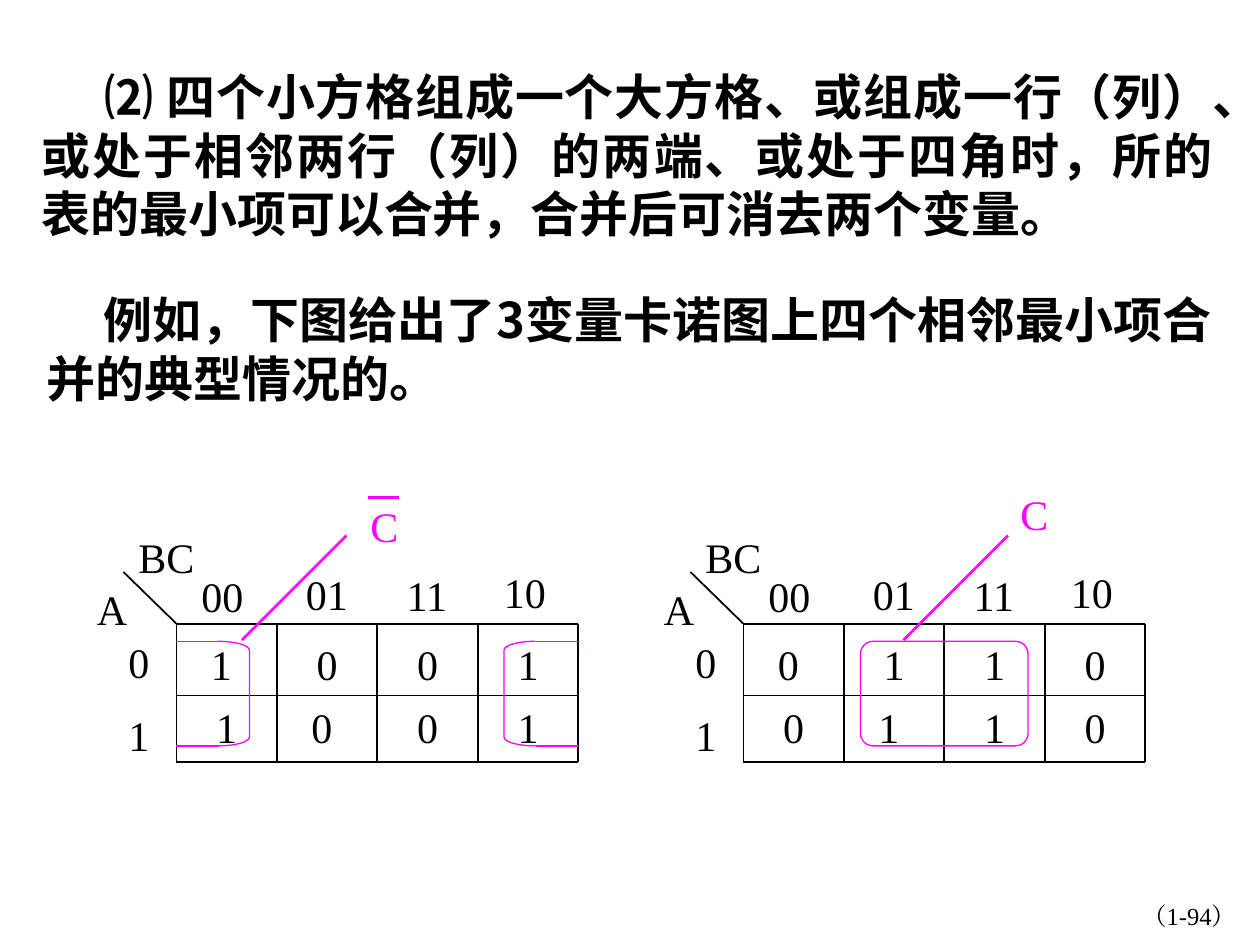
"""Build a slide on merging four adjacent minterms in three-variable Karnaugh maps."""
from pptx import Presentation
from pptx.dml.color import RGBColor
from pptx.enum.shapes import MSO_CONNECTOR, MSO_SHAPE
from pptx.enum.text import MSO_ANCHOR, MSO_AUTO_SIZE, PP_ALIGN
from pptx.oxml.ns import qn
from pptx.util import Inches, Pt

LEFT, CENTER, RIGHT, JUSTIFY = PP_ALIGN.LEFT, PP_ALIGN.CENTER, PP_ALIGN.RIGHT, PP_ALIGN.JUSTIFY
STRAIGHT = MSO_CONNECTOR.STRAIGHT
ROUNDED = MSO_SHAPE.ROUNDED_RECTANGLE
LEFT_BRACKET, RIGHT_BRACKET = MSO_SHAPE.LEFT_BRACKET, MSO_SHAPE.RIGHT_BRACKET
BLACK, MAGENTA = "000000", "FF00FF"
SERIF, SANS = "Times New Roman", "Noto Sans CJK SC"

BODY = [
    ("⑵ 四个小方格组成一个大方格、或组成一行（列）、或处于相邻两行（列）的两端、或处于四角时，"
     "所的表的最小项可以合并，合并后可消去两个变量。", (0.23, 0.48, 9.5, 1.5), 0.5),
    ("例如，下图给出了3变量卡诺图上四个相邻最小项合并的典型情况的。", (0.27, 2.25, 9.45, 1.03), 0.45),
]
PAGE = ("（1-94）", (7.83, 7.1, 2.08, 0.5))

COLUMN, ROWS = 3.19 / 4, (0, 0.57, 1.1)
GRID_TOP, WIDTH = 4.95, 4 * COLUMN
LABELS = [
    ("00", 0.1, -0.47), ("01", 0.93, -0.49), ("11", 1.73, -0.48), ("10", 2.5, -0.5),
    ("BC", -0.4, -0.78), ("A", -0.73, -0.37), ("0", -0.48, 0.05), ("1", -0.48, 0.63),
]
LOOP_TOP, LOOP_HEIGHT = 0.14, 0.83
MAPS = [
    {"left": 1.4, "cells": [("1 ", "0", "0", "1"), ("1", "0 ", "0", "1")],
     "loops": [(RIGHT_BRACKET, 0.33, 0.25, 0.28), (LEFT_BRACKET, 2.6, 0.25, 0.28)],
     "strokes": [(x1, y, x2, y, 0.75) for y in (LOOP_TOP, LOOP_TOP + LOOP_HEIGHT)
                 for x1, x2 in ((0, 0.33), (2.85, WIDTH))]
     + [(0.52, 0.13, 1.35, -0.7, 1.5), (1.52, -1, 1.77, -1, 2)],
     "result": (1.44, -1.03)},
    {"left": 5.9, "cells": [("0 ", "1", "1", "0"), ("0", "1 ", "1", "0")],
     "loops": [(ROUNDED, 0.93, 1.33, 0.12)],
     "strokes": [(1.27, 0.13, 2.1, -0.7, 1.5)],
     "result": (2.1, -1.12)},
]


def color(value):
    return RGBColor.from_string(value)


def style(shape, text, size, font, align, ink=BLACK, bold=False):
    frame = shape.text_frame
    frame.text = text
    frame.auto_size = MSO_AUTO_SIZE.NONE
    frame.vertical_anchor = MSO_ANCHOR.TOP
    paragraph = frame.paragraphs[0]
    paragraph.alignment = align
    for run in paragraph.runs:
        run.font.size, run.font.name, run.font.bold = Pt(size), font, bold
        run.font.color.rgb = color(ink)
        east_asian = run.font._element.makeelement(qn("a:ea"), {"typeface": font})
        run.font._element.find(qn("a:latin")).addnext(east_asian)
    return paragraph


def add_text(shapes, text, box, size=24, align=LEFT, ink=BLACK, wrap=True):
    shape = shapes.add_textbox(*map(Inches, box))
    style(shape, text, size, SERIF, align, ink)
    shape.text_frame.word_wrap = wrap


def add_line(shapes, x1, y1, x2, y2, width, ink=BLACK):
    line = shapes.add_connector(STRAIGHT, *map(Inches, (x1, y1, x2, y2)))
    line.line.color.rgb, line.line.width = color(ink), Pt(width)
    properties = line._element.spPr
    properties.append(properties.makeelement(qn("a:effectLst"), {}))


def fill_body(placeholder, text, box, indent):
    placeholder.left, placeholder.top, placeholder.width, placeholder.height = map(Inches, box)
    paragraph = style(placeholder, text, 28, SANS, JUSTIFY, bold=True)
    paragraph.line_spacing, paragraph.space_before = Pt(33.5), Pt(0)
    properties = paragraph._p.get_or_add_pPr()
    properties.set("marL", "0")
    properties.set("indent", str(Inches(indent)))
    properties.append(properties.makeelement(qn("a:buNone"), {}))


def add_map(slide, left, cells, loops, strokes, result):
    shapes = slide.shapes.add_group_shape().shapes
    for row, values in enumerate(cells):
        for column, value in enumerate(values):
            box = (left + column * COLUMN, GRID_TOP + 0.07 + row * 0.5, COLUMN, 0.57)
            add_text(shapes, value, box, align=CENTER)
    for y in ROWS:
        add_line(shapes, left, GRID_TOP + y, left + WIDTH, GRID_TOP + y, 1)
    for column in range(5):
        x = left + column * COLUMN
        add_line(shapes, x, GRID_TOP, x, GRID_TOP + ROWS[-1], 1)
    add_line(shapes, left - 0.42, GRID_TOP - 0.41, left, GRID_TOP, 1)
    for text, x, y in LABELS:
        add_text(shapes, text, (left + x, GRID_TOP + y, 0.6, 0.5), wrap=False)
    for kind, x, width, rounding in loops:
        box = (left + x, GRID_TOP + LOOP_TOP, width, LOOP_HEIGHT)
        loop = shapes.add_shape(kind, *map(Inches, box))
        loop.adjustments[0] = rounding
        loop.shadow.inherit = False
        loop.fill.background()
        loop.line.color.rgb, loop.line.width = color(MAGENTA), Pt(0.75)
    for x1, y1, x2, y2, width in strokes:
        add_line(shapes, left + x1, GRID_TOP + y1, left + x2, GRID_TOP + y2, width, MAGENTA)
    x, y = result
    add_text(shapes, "C", (left + x, GRID_TOP + y, 0.42, 0.5), align=CENTER, ink=MAGENTA, wrap=False)


def main():
    presentation = Presentation()
    presentation.slide_width, presentation.slide_height = Inches(10), Inches(7.5)
    slide = presentation.slides.add_slide(presentation.slide_layouts[3])
    title, *bodies = slide.placeholders
    title._element.getparent().remove(title._element)
    for placeholder, content in zip(bodies, BODY):
        fill_body(placeholder, *content)
    for karnaugh_map in MAPS:
        add_map(slide, **karnaugh_map)
    add_text(slide.shapes, *PAGE, size=14, align=RIGHT)
    presentation.save("out.pptx")


if __name__ == "__main__":
    main()
